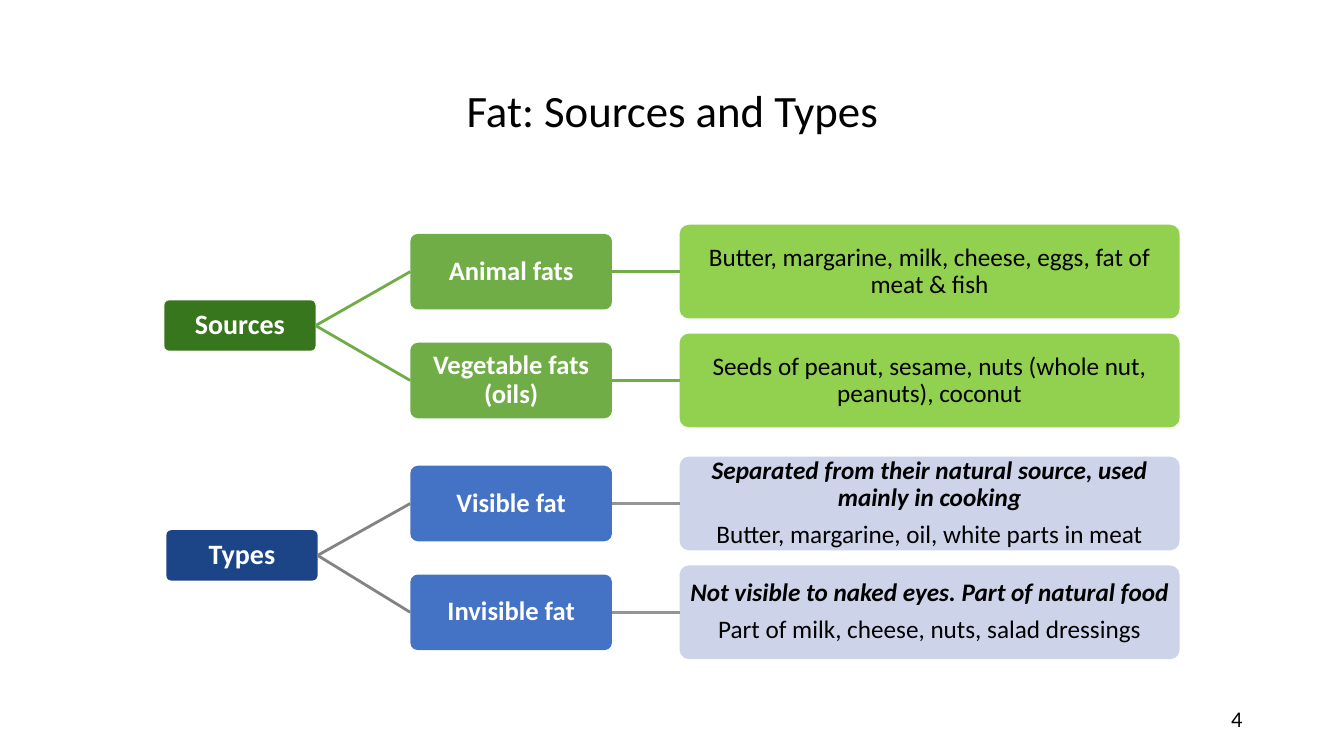
from pptx import Presentation
from pptx.dml.color import RGBColor
from pptx.enum.shapes import MSO_CONNECTOR, MSO_SHAPE
from pptx.enum.text import MSO_ANCHOR, PP_ALIGN
from pptx.oxml.ns import qn
from pptx.util import Inches, Pt
from lxml import etree

# Content
TITLE = "Fat: Sources and Types"
PAGE = "4"
COLORS = {
    "black": "000000", "white": "FFFFFF",
    "dark green": "38761D", "green": "70AD47", "lime": "92D050",
    "navy": "1C4587", "blue": "4472C4", "lavender": "CDD4EA",
    "gray": "838383", "light gray": "959595",
}
# Each branch: fills and lines run from left to right; rows are (kind, plain or bold-italic details)
BRANCHES = [
    {"root": "Sources", "root at": (1.63, 2.98), "top": 2.32,
     "fills": ("dark green", "green", "lime"), "lines": ("green", "green"),
     "rows": [
         ("Animal fats",
          [("Butter, margarine, milk, cheese, eggs, fat of meat & fish", False)]),
         ("Vegetable fats (oils)",
          [("Seeds of peanut, sesame, nuts (whole nut, peanuts), coconut", False)]),
     ]},
    {"root": "Types", "root at": (1.65, 5.26), "top": 4.62,
     "fills": ("navy", "blue", "lavender"), "lines": ("gray", "light gray"),
     "rows": [
         ("Visible fat",
          [("Separated from their natural source, used mainly in cooking", True),
           ("Butter, margarine, oil, white parts in meat", False)]),
         ("Invisible fat",
          [("Not visible to naked eyes. Part of natural food", True),
           ("Part of milk, cheese, nuts, salad dressings", False)]),
     ]},
]

# Layout in inches
ROOT_SIZE, KIND_SIZE, DETAIL_SIZE = (1.5, 0.5), (2, 0.75), (4.96, 0.93)
KIND_LEFT, DETAIL_LEFT = 4.07, 6.74
ROW_PITCH, DETAIL_RISE = 1.08, 0.09

# Text formats
ROOT_FONT = {"size": Pt(20), "bold": True}
KIND_FONT = {"size": Pt(19), "bold": True}
DETAIL_FONT = {"size": Pt(18)}


def rgb(color):
    return RGBColor.from_string(COLORS[color])


def format_font(font, color, **values):
    font.color.rgb = rgb(color)
    for attribute, value in {"name": "Calibri", **values}.items():
        setattr(font, attribute, value)


def set_frame(frame, side=0.05, anchor=MSO_ANCHOR.MIDDLE):
    values = {"word_wrap": True, "vertical_anchor": anchor,
              "margin_left": Inches(side), "margin_right": Inches(side),
              "margin_top": Inches(0.05), "margin_bottom": Inches(0.05)}
    for attribute, value in values.items():
        setattr(frame, attribute, value)


def add_node(slide, at, size, fill, lines, color, font):
    node = slide.shapes.add_shape(MSO_SHAPE.ROUNDED_RECTANGLE,
                                  *map(Inches, at + size))
    node.adjustments[0] = 0.1
    node.shadow.inherit = False
    node.fill.solid()
    node.fill.fore_color.rgb = rgb(fill)
    node.line.fill.background()
    set_frame(node.text_frame)
    for index, (text, emphasis) in enumerate(lines):
        if index:
            paragraph = node.text_frame.add_paragraph()
            paragraph.space_before = Pt(7)
        else:
            paragraph = node.text_frame.paragraphs[0]
        paragraph.alignment = PP_ALIGN.CENTER
        paragraph.line_spacing = 0.9
        run = paragraph.add_run()
        run.text = text
        format_font(run.font, color, **{"bold": emphasis, "italic": emphasis, **font})
    return node


def join(slide, start, end, color):
    link = slide.shapes.add_connector(MSO_CONNECTOR.STRAIGHT, 0, 0, 0, 0)
    link.begin_connect(start, 3)
    link.end_connect(end, 1)
    link.line.color.rgb = rgb(color)
    link.line.width = Pt(2)
    etree.SubElement(link._element.spPr, qn("a:effectLst"))


def add_branch(slide, branch):
    root_fill, kind_fill, detail_fill = branch["fills"]
    root_line, kind_line = branch["lines"]
    root = add_node(slide, branch["root at"], ROOT_SIZE, root_fill,
                    [(branch["root"], False)], "white", ROOT_FONT)
    for index, (kind_text, details) in enumerate(branch["rows"]):
        top = branch["top"] + index * ROW_PITCH
        kind = add_node(slide, (KIND_LEFT, top), KIND_SIZE, kind_fill,
                        [(kind_text, False)], "white", KIND_FONT)
        detail = add_node(slide, (DETAIL_LEFT, top - DETAIL_RISE), DETAIL_SIZE,
                          detail_fill, details, "black", DETAIL_FONT)
        join(slide, root, kind, root_line)
        join(slide, kind, detail, kind_line)


def main():
    deck = Presentation()
    deck.slide_width, deck.slide_height = Inches(13.33), Inches(7.5)
    slide = deck.slides.add_slide(deck.slide_layouts[5])

    # Title
    title = slide.shapes.title
    title.left, title.top, title.width, title.height = map(
        Inches, (2.13, 0.4, 9.08, 1.45))
    title.text = TITLE
    set_frame(title.text_frame)
    heading = title.text_frame.paragraphs[0]
    heading.alignment = PP_ALIGN.CENTER
    heading.line_spacing = 0.9
    format_font(heading.runs[0].font, "black", size=Pt(32))

    # Tree of sources and types
    for branch in BRANCHES:
        add_branch(slide, branch)

    # Page number
    page = slide.shapes.add_textbox(*map(Inches, (9.42, 6.95, 3, 0.4)))
    set_frame(page.text_frame, 0.1, MSO_ANCHOR.TOP)
    number = page.text_frame.paragraphs[0]
    number.alignment = PP_ALIGN.RIGHT
    run = number.add_run()
    run.text = PAGE
    format_font(run.font, "black", size=Pt(16))

    deck.save("out.pptx")


if __name__ == "__main__":
    main()
